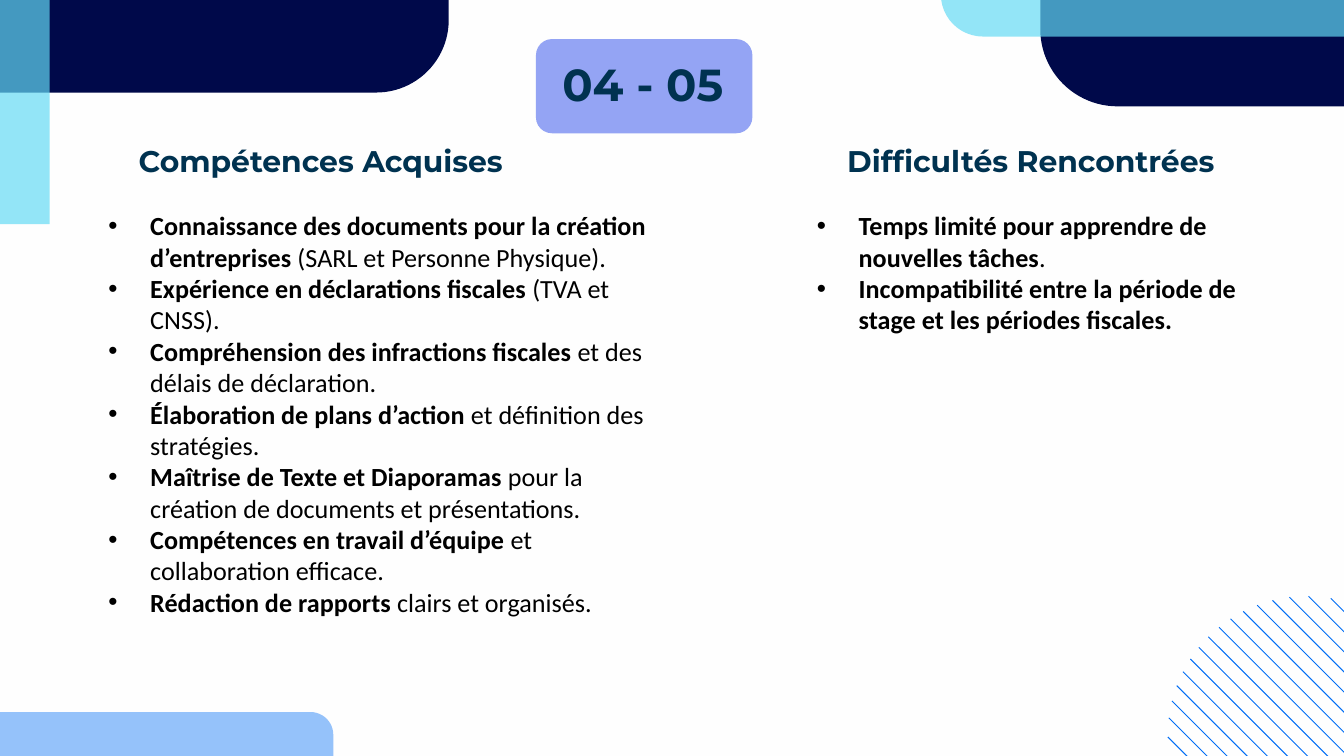
from math import sqrt

from lxml import etree
from pptx import Presentation
from pptx.dml.color import RGBColor
from pptx.enum.shapes import MSO_CONNECTOR, MSO_SHAPE
from pptx.enum.text import MSO_AUTO_SIZE, PP_ALIGN
from pptx.oxml.ns import qn
from pptx.util import Cm, Pt

RECTANGLE = MSO_SHAPE.RECTANGLE
ONE_ROUND_CORNER = MSO_SHAPE.ROUND_1_RECTANGLE
ROUNDED = MSO_SHAPE.ROUNDED_RECTANGLE
STRAIGHT = MSO_CONNECTOR.STRAIGHT
CENTER = PP_ALIGN.CENTER
LEFT = PP_ALIGN.LEFT
FIT_SHAPE = MSO_AUTO_SIZE.SHAPE_TO_FIT_TEXT

COLORS = {
    "background": "FEFEFE",
    "navy": "00094A",
    "cyan": "63DBF5",
    "blue": "006DF5",
    "violet": "516CEE",
    "heading": "003250",
    "body": "000000",
}
HEADING_FONT = "Montserrat"
BODY_FONT = "Calibri"

SECTION_NUMBER = "04 - 05"

# Each item is a bold part followed by a regular part.
SKILLS = [
    ("Connaissance des documents pour la création d’entreprises ", "(SARL et Personne Physique)."),
    ("Expérience en déclarations fiscales ", "(TVA et CNSS)."),
    ("Compréhension des infractions fiscales ", "et des délais de déclaration."),
    ("Élaboration de plans d’action ", "et définition des stratégies."),
    ("Maîtrise de Texte et Diaporamas ", "pour la création de documents et présentations."),
    ("Compétences en travail d’équipe ", "et collaboration efficace."),
    ("Rédaction de rapports ", "clairs et organisés."),
]
DIFFICULTIES = [
    ("Temps limité pour apprendre de nouvelles tâches", "."),
    ("Incompatibilité entre la période de stage et les périodes fiscales.", ""),
]

# Title, items, left, heading width, list width, list height (cm)
COLUMNS = [
    ("Compétences Acquises", SKILLS, 1.8, 8.53, 10.95, 8.64),
    ("Difficultés Rencontrées", DIFFICULTIES, 15.19, 8.59, 9.58, 2.64),
]
HEADING_TOP, HEADING_HEIGHT, LIST_TOP = 2.57, 0.94, 3.84
BULLET_INDENT = 0.79

# Kind, box (cm), rotation, corner adjustment, colour, opacity in percent
PANELS = [
    (ONE_ROUND_CORNER, (2.87, -3.86, 2.74, 8.48), 90, 0.5, "navy", 100),
    (RECTANGLE, (0, -0.97, 0.94, 5.21), 0, None, "cyan", 69),
    (ONE_ROUND_CORNER, (0, 13.46, 6.3, 0.86), 0, 0.5, "blue", 41),
    (ONE_ROUND_CORNER, (19.66, -0.91, 8.86, 2.92), 180, 0.5, "navy", 100),
    (ONE_ROUND_CORNER, (17.78, -0.91, 10.74, 1.6), 180, 0.5, "cyan", 69),
    (ROUNDED, (10.13, 0.74, 4.09, 1.78), 0, 0.17, "violet", 61),
]

# Circle hatched with diagonal lines (cm)
HATCH_CENTER = (24.69, 13.89)
HATCH_RADIUS = 2.62
HATCH_STEP = 0.38
HATCH_STEPS = range(-7, 9)


def color(name):
    return RGBColor.from_string(COLORS[name])


def add_panel(slide, kind, box, rotation, corner, fill, opacity):
    shape = slide.shapes.add_shape(kind, *map(Cm, box))
    shape.rotation = rotation
    shape.shadow.inherit = False
    if corner is not None:
        shape.adjustments[0] = corner
    shape.fill.solid()
    shape.fill.fore_color.rgb = color(fill)
    shape.line.fill.background()
    if opacity < 100:
        fill_color = shape._element.spPr.find(".//" + qn("a:srgbClr"))
        etree.SubElement(fill_color, qn("a:alpha"), val=str(opacity * 1000))


def add_hatched_circle(slide):
    """Draw the 45-degree chords of a circle at equal offsets."""
    center_x, center_y = HATCH_CENTER
    for step in HATCH_STEPS:
        shift = step * HATCH_STEP / 2
        half = sqrt(HATCH_RADIUS ** 2 / 2 - shift ** 2)
        x, y = center_x + shift, center_y - shift
        ends = (x - half, y - half, x + half, y + half)
        line = slide.shapes.add_connector(STRAIGHT, *map(Cm, ends))
        line.line.color.rgb = color("blue")
        line.line.width = Pt(0.5)
        etree.SubElement(line._element.spPr, qn("a:effectLst"))


def add_bullet(paragraph):
    indent = Cm(BULLET_INDENT)
    properties = paragraph._p.get_or_add_pPr()
    properties.set("marL", str(indent))
    properties.set("indent", str(-indent))
    bullet_color = etree.SubElement(properties, qn("a:buClr"))
    etree.SubElement(bullet_color, qn("a:srgbClr"), val=COLORS["body"])
    etree.SubElement(properties, qn("a:buFont"), typeface="Arial")
    etree.SubElement(properties, qn("a:buChar"), char="•")


def add_text(slide, box, items, font, size, text_color, align=LEFT, bullets=False):
    """Add one paragraph per (bold part, regular part) item."""
    frame = slide.shapes.add_textbox(*map(Cm, box)).text_frame
    frame.word_wrap = True
    frame.auto_size = FIT_SHAPE
    for index, parts in enumerate(items):
        paragraph = frame.add_paragraph() if index else frame.paragraphs[0]
        paragraph.alignment = align
        if bullets:
            add_bullet(paragraph)
        for text, bold in zip(parts, (True, False)):
            if text:
                run = paragraph.add_run()
                run.text = text
                run.font.name = font
                run.font.size = Pt(size)
                run.font.bold = bold
                run.font.color.rgb = color(text_color)


def add_heading(slide, box, text, size):
    add_text(slide, box, [(text, "")], HEADING_FONT, size, "heading", CENTER)


def main():
    presentation = Presentation()
    presentation.slide_width = Cm(25.4)
    presentation.slide_height = Cm(14.29)
    slide = presentation.slides.add_slide(presentation.slide_layouts[6])
    slide.background.fill.solid()
    slide.background.fill.fore_color.rgb = color("background")

    for panel in PANELS:
        add_panel(slide, *panel)
    add_hatched_circle(slide)

    add_heading(slide, (10.08, 0.94, 4.14, 1.27), SECTION_NUMBER, 24)
    for title, items, left, heading_width, list_width, list_height in COLUMNS:
        add_heading(slide, (left, HEADING_TOP, heading_width, HEADING_HEIGHT), title, 16)
        add_text(slide, (left, LIST_TOP, list_width, list_height), items,
                 BODY_FONT, 14, "body", bullets=True)

    presentation.save("out.pptx")


if __name__ == "__main__":
    main()
